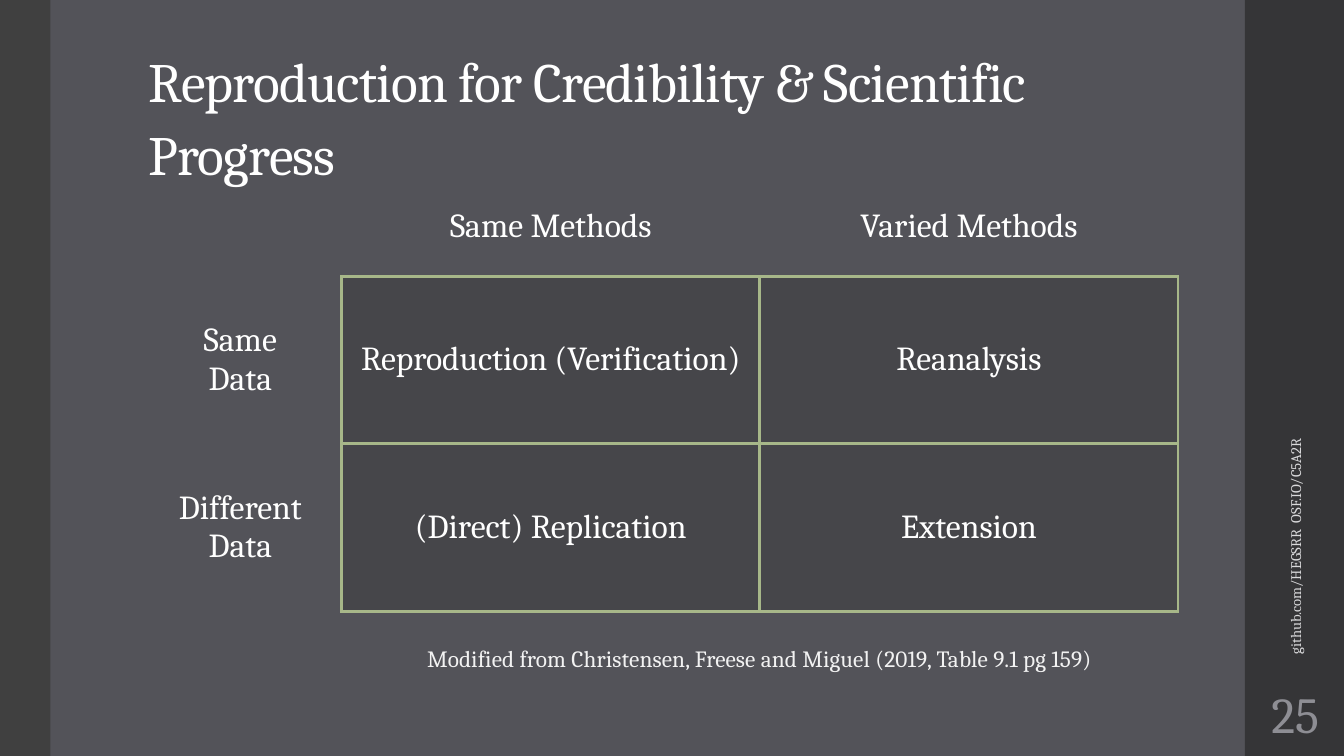
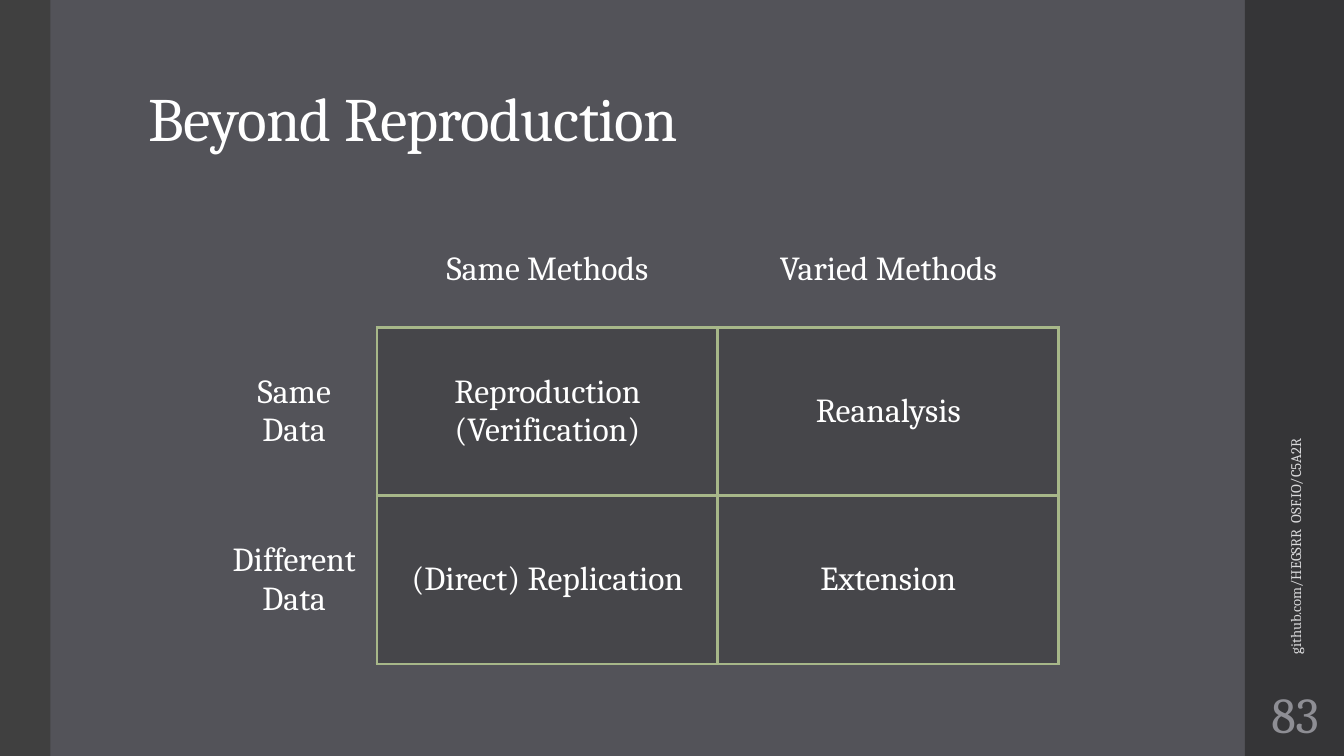
from lxml import etree
from pptx import Presentation
from pptx.dml.color import RGBColor
from pptx.enum.shapes import MSO_SHAPE
from pptx.enum.text import MSO_ANCHOR, PP_ALIGN
from pptx.oxml.ns import qn
from pptx.util import Cm, Pt

RECTANGLE = MSO_SHAPE.RECTANGLE
MIDDLE, TOP = MSO_ANCHOR.MIDDLE, MSO_ANCHOR.TOP
LEFT, CENTER = PP_ALIGN.LEFT, PP_ALIGN.CENTER

FONT = "Cambria"
BACKGROUND, LEFT_BAND, RIGHT_BAND = "535359", "404040", "353537"
WHITE, CAPTION_GRAY, FOOTER_GRAY, NUMBER_GRAY = "FFFFFF", "F2F2F2", "D9D9DB", "8E8E94"
CELL_FILL, GRID_GREEN = "46464A", "A7B789"
GRID_WIDTH = 2.25
PAGE_WIDTH, PAGE_HEIGHT = 33.87, 19.05
RIGHT_BAND_LEFT = 31.37

METHODS_BY_DATA = [
    ["", "Same Methods", "Varied Methods"],
    ["Same\nData", "Reproduction (Verification)", "Reanalysis"],
    ["Different\nData", "(Direct) Replication", "Extension"],
]


def color(hex_code):
    """Turn a hex string into a colour."""
    return RGBColor.from_string(hex_code)


def add_span(para, text, size, hex_code, spacing=0):
    """Add one run, with optional letter spacing in points."""
    span = para.add_run()
    span.text = text
    span.font.name = FONT
    span.font.size = Pt(size)
    span.font.color.rgb = color(hex_code)
    if spacing:
        span._r.get_or_add_rPr().set("spc", str(round(spacing * 100)))


def add_text_box(page, box, align=LEFT, anchor=MIDDLE, line_spacing=1.0):
    """Place an empty wrapped text box and return it with its paragraph."""
    text_box = page.shapes.add_textbox(*map(Cm, box))
    frame = text_box.text_frame
    frame.word_wrap = True
    frame.vertical_anchor = anchor
    para = frame.paragraphs[0]
    para.alignment = align
    para.line_spacing = line_spacing
    return text_box, para


def add_band(page, left, width, hex_code):
    """Draw a full-height vertical band."""
    band = page.shapes.add_shape(RECTANGLE, Cm(left), 0, Cm(width), Cm(PAGE_HEIGHT))
    band.shadow.inherit = False
    band.fill.solid()
    band.fill.fore_color.rgb = color(hex_code)
    band.line.fill.background()


def add_footer(page, number):
    """Write the sideways address and the page number on the right band."""
    address, para = add_text_box(page, (27.66, 11.25, 9.96, 1.02))
    address.rotation = 270
    for text, spacing in (("github.com/HEGSRR", 0), (" ", 2.3), ("OSF.IO/C5A2R", 0)):
        add_span(para, text, 10.5, FOOTER_GRAY, spacing)
    number_box, para = add_text_box(page, (RIGHT_BAND_LEFT, 17.14, 2.54, 1.65), CENTER)
    frame = number_box.text_frame
    frame.margin_left = frame.margin_right = Cm(0.13)
    add_span(para, str(number), 36, NUMBER_GRAY)


def add_page(deck, title, title_size, number):
    """Add a page with its bands, title and footer."""
    page = deck.slides.add_slide(deck.slide_layouts[6])
    add_band(page, RIGHT_BAND_LEFT, PAGE_WIDTH - RIGHT_BAND_LEFT, RIGHT_BAND)
    add_band(page, 0, 1.27, LEFT_BAND)
    _, para = add_text_box(page, (3.5, 1.02, 26.92, 3.68), line_spacing=1.1)
    add_span(para, title, title_size, WHITE, -0.5)
    add_footer(page, number)
    return page


def set_borders(cell, sides):
    """Draw the named sides (L, R, T, B) of a cell and hide the others."""
    properties = cell._tc.get_or_add_tcPr()
    for side in "LRTB":
        line = etree.SubElement(properties, qn(f"a:ln{side}"), w=str(Pt(GRID_WIDTH)))
        if side in sides:
            fill = etree.SubElement(line, qn("a:solidFill"))
            etree.SubElement(fill, qn("a:srgbClr"), val=GRID_GREEN)
        else:
            etree.SubElement(line, qn("a:noFill"))


def fill_cell(cell, text, row, column):
    """Style a heading or body cell and write its centred text."""
    cell.vertical_anchor = MIDDLE
    if row and column:
        set_borders(cell, "LRTB")
        cell.fill.solid()
        cell.fill.fore_color.rgb = color(CELL_FILL)
    else:
        set_borders(cell, "B" if column else "R" if row else "")
        cell.fill.background()
    para = cell.text_frame.paragraphs[0]
    para.alignment = CENTER
    for index, text_line in enumerate(text.split("\n")):
        if index:
            para.add_line_break()
        if text_line:
            add_span(para, text_line, 24, WHITE)


def add_matrix(page, left, top, column_widths, row_heights):
    """Place the methods-by-data table; sizes are heading first, then body."""
    widths = [column_widths[0]] + [column_widths[1]] * 2
    heights = [row_heights[0]] + [row_heights[1]] * 2
    box = (left, top, sum(widths), sum(heights))
    table = page.shapes.add_table(3, 3, *map(Cm, box)).table
    table.first_row = table.horz_banding = False
    for index in range(3):
        table.columns[index].width = Cm(widths[index])
        table.rows[index].height = Cm(heights[index])
    for row, texts in enumerate(METHODS_BY_DATA):
        for column, text in enumerate(texts):
            fill_cell(table.cell(row, column), text, row, column)


def add_caption(page, box, text):
    """Write the source line below a table."""
    _, para = add_text_box(page, box, CENTER, TOP, 1.14)
    add_span(para, text, 16.6, CAPTION_GRAY, 0.1)


def main():
    """Build and save the deck."""
    deck = Presentation()
    deck.slide_width, deck.slide_height = Cm(PAGE_WIDTH), Cm(PAGE_HEIGHT)
    backdrop = deck.slide_master.background.fill
    backdrop.solid()
    backdrop.fore_color.rgb = color(BACKGROUND)

    page = add_page(deck, "Reproduction for Credibility & Scientific Progress", 39.6, 25)
    add_matrix(page, 3.5, 4.47, (5.11, 10.54), (2.49, 4.22))
    add_caption(page, (8.59, 16, 21.11, 1.42),
                "Modified from Christensen, Freese and Miguel (2019, Table 9.1 pg 159)")

    page = add_page(deck, "Beyond Reproduction", 44, 83)
    add_matrix(page, 5.33, 5.33, (4.17, 8.59), (2.92, 4.24))

    deck.save("out.pptx")


if __name__ == "__main__":
    main()
